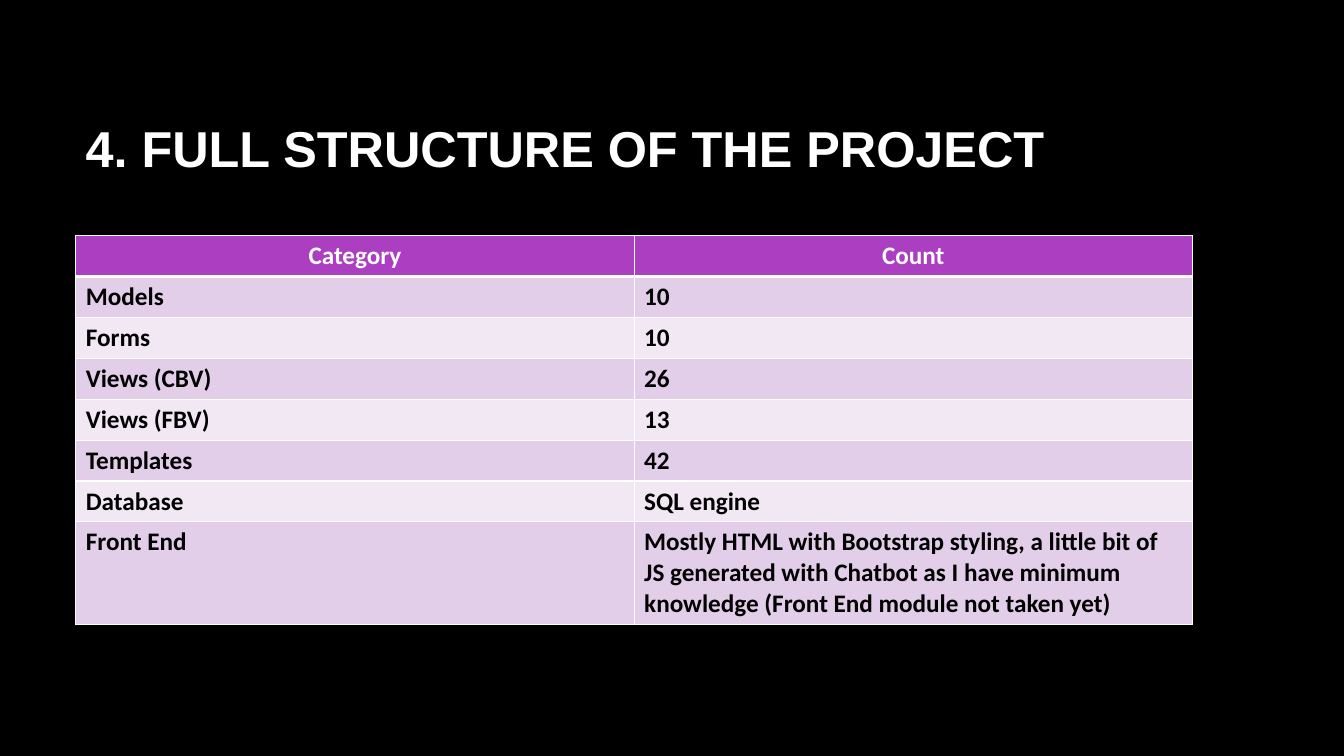
"""Build the slide that lists the full structure of the project."""

import dataclasses
import typing

import lxml.etree
import pptx
import pptx.dml.color
import pptx.enum.text
import pptx.oxml.ns
import pptx.slide
import pptx.table
import pptx.text.text
import pptx.util

Cm = pptx.util.Cm
Pt = pptx.util.Pt


@dataclasses.dataclass(frozen=True)
class Theme:
    """Colours, fonts and sizes of the slide."""

    background: str = "000000"
    light: str = "FFFFFF"
    dark: str = "000000"
    header: str = "AC3EC1"
    bands: tuple[str, str] = ("E3CEE9", "F1E8F4")
    title_font: str = "Arial"
    table_font: str = "Calibri"
    title_size: int = 36
    table_size: int = 18
    thin_border: int = 1
    thick_border: int = 3


class StructureRow(typing.NamedTuple):
    """One row of the structure table."""

    category: str
    count: str
    height: float = 1.03


THEME = Theme()
LEFT, WIDTH = 1.91, 28.14
ROWS = (
    StructureRow("Category", "Count"),
    StructureRow("Models", "10"),
    StructureRow("Forms", "10"),
    StructureRow("Views (CBV)", "26"),
    StructureRow("Views (FBV)", "13"),
    StructureRow("Templates", "42"),
    StructureRow("Database", "SQL engine"),
    StructureRow(
        "Front End",
        "Mostly HTML with Bootstrap styling, a little bit of JS generated with "
        "Chatbot as I have minimum knowledge (Front End module not taken yet)",
        2.59,
    ),
)


def write_text(frame: pptx.text.text.TextFrame, text: str, font: str, size: int, color: str) -> None:
    """Write bold text in one run."""
    run = frame.paragraphs[0].add_run()
    run.text = text
    for name, value in {"name": font, "size": Pt(size), "bold": True}.items():
        setattr(run.font, name, value)
    run.font.color.rgb = pptx.dml.color.RGBColor.from_string(color)


def set_borders(cell: pptx.table._Cell, top: int, bottom: int) -> None:
    """Draw the four borders of a cell, with widths in points."""
    properties = cell._tc.get_or_add_tcPr()
    qn = pptx.oxml.ns.qn
    widths = {"L": THEME.thin_border, "R": THEME.thin_border, "T": top, "B": bottom}
    for side, width in widths.items():
        line = lxml.etree.SubElement(properties, qn(f"a:ln{side}"), w=str(Pt(width)))
        fill = lxml.etree.SubElement(line, qn("a:solidFill"))
        lxml.etree.SubElement(fill, qn("a:srgbClr"), val=THEME.light)


def add_title(slide: pptx.slide.Slide, text: str) -> None:
    """Add the slide title."""
    frame = slide.shapes.add_textbox(Cm(LEFT), Cm(1.7), Cm(WIDTH), Cm(4.04)).text_frame
    settings = {"word_wrap": True, "vertical_anchor": pptx.enum.text.MSO_ANCHOR.MIDDLE}
    for name, value in settings.items():
        setattr(frame, name, value)
    write_text(frame, text, THEME.title_font, THEME.title_size, THEME.light)


def add_structure_table(slide: pptx.slide.Slide, rows: tuple[StructureRow, ...]) -> None:
    """Add the table with a header and banded rows."""
    height = sum(row.height for row in rows)
    table = slide.shapes.add_table(
        len(rows), 2, Cm(LEFT), Cm(5.94), Cm(WIDTH), Cm(height)
    ).table
    for index, row in enumerate(rows):
        table.rows[index].height = Cm(row.height)
        is_header = index == 0
        fill = THEME.header if is_header else THEME.bands[(index - 1) % 2]
        color = THEME.light if is_header else THEME.dark
        top = THEME.thick_border if index == 1 else THEME.thin_border
        bottom = THEME.thick_border if is_header else THEME.thin_border
        for column, text in enumerate((row.category, row.count)):
            cell = table.cell(index, column)
            set_borders(cell, top, bottom)
            cell.fill.solid()
            cell.fill.fore_color.rgb = pptx.dml.color.RGBColor.from_string(fill)
            write_text(cell.text_frame, text, THEME.table_font, THEME.table_size, color)
            if is_header:
                cell.text_frame.paragraphs[0].alignment = pptx.enum.text.PP_ALIGN.CENTER


def main() -> None:
    """Build and save the presentation."""
    presentation = pptx.Presentation()
    for name, value in {"slide_width": Cm(33.87), "slide_height": Cm(19.05)}.items():
        setattr(presentation, name, value)
    slide = presentation.slides.add_slide(presentation.slide_layouts[6])
    background = slide.background.fill
    background.solid()
    background.fore_color.rgb = pptx.dml.color.RGBColor.from_string(THEME.background)
    add_title(slide, "4. FULL STRUCTURE OF THE PROJECT")
    add_structure_table(slide, ROWS)
    presentation.save("out.pptx")


if __name__ == "__main__":
    main()
